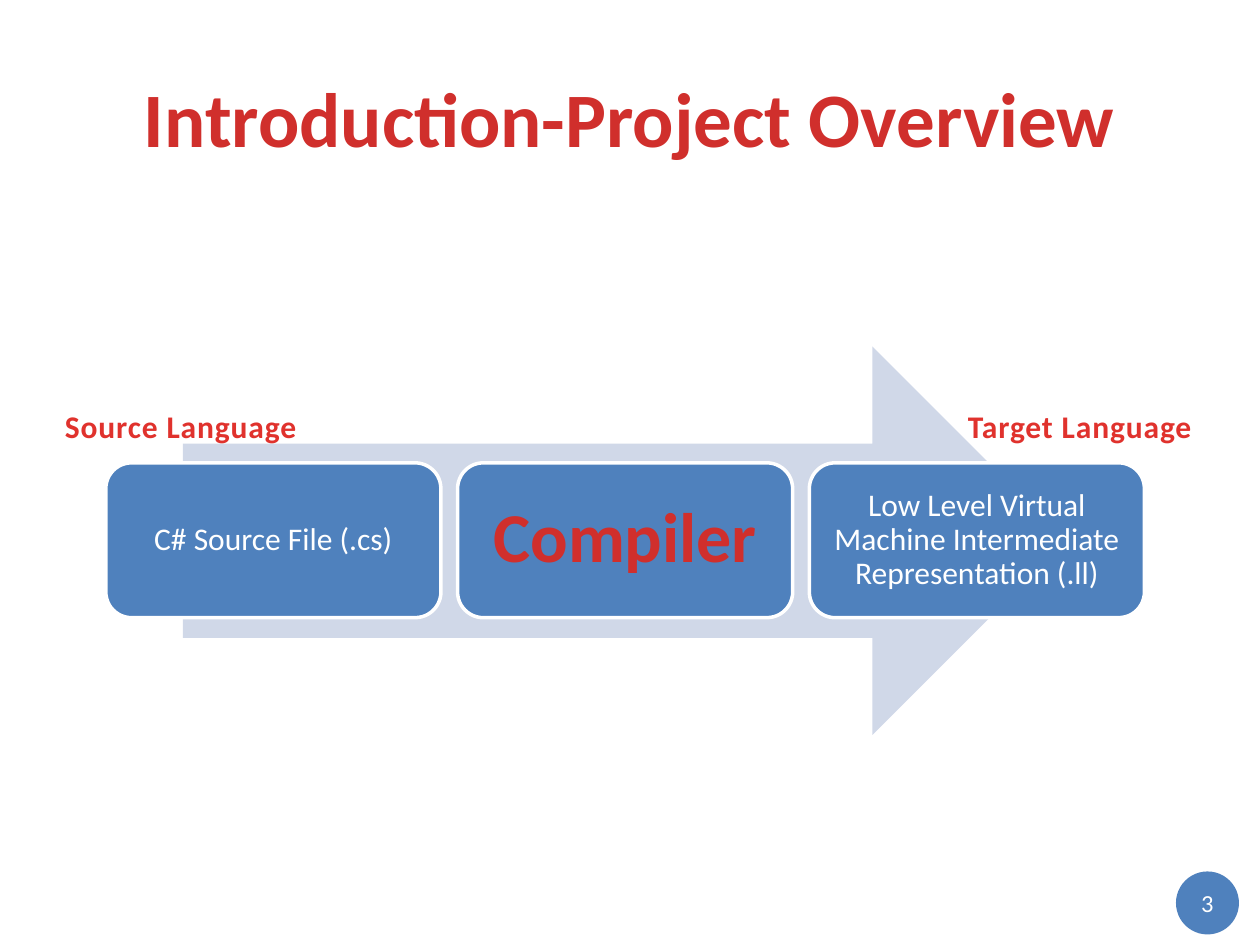
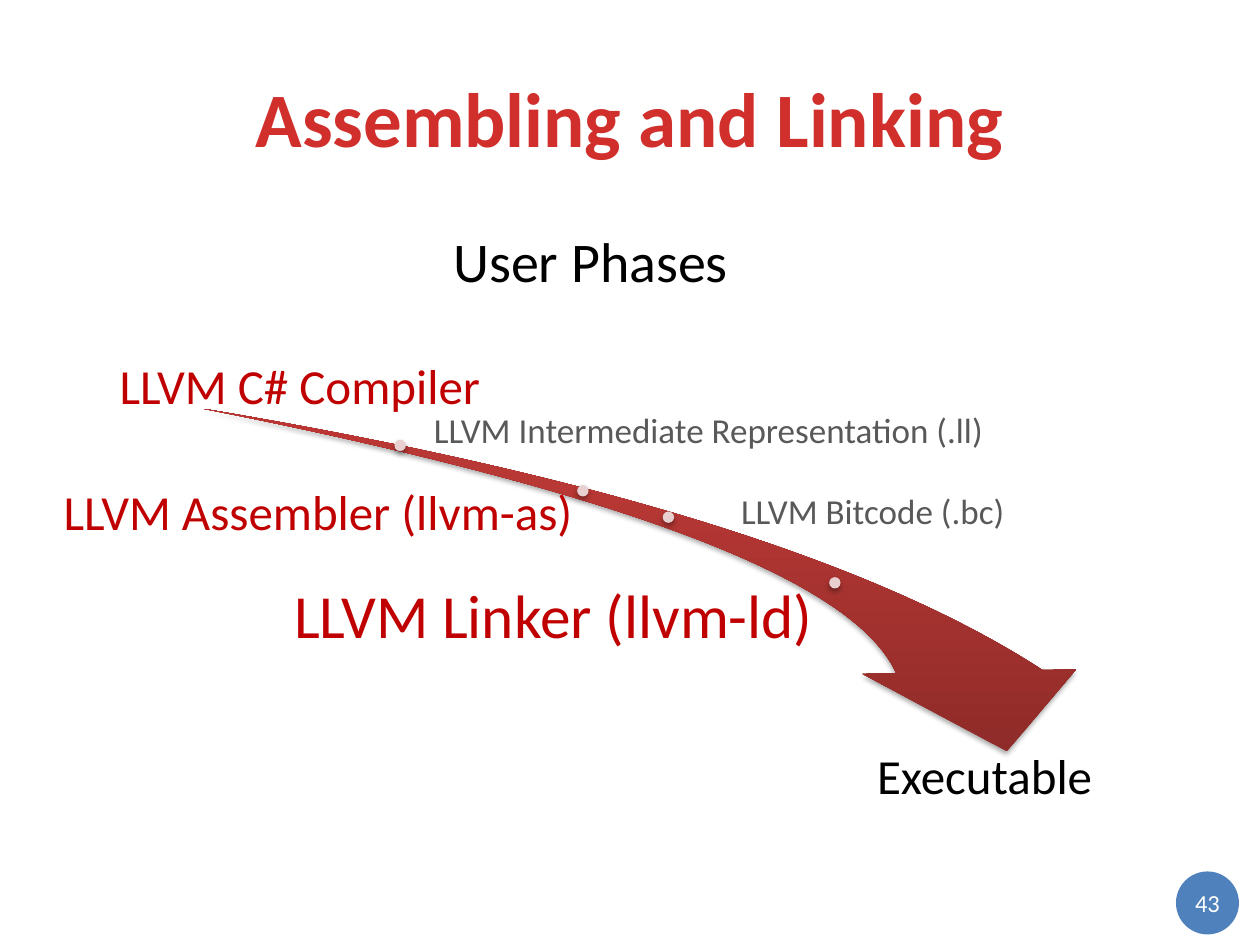
import pptx
import pptx.dml.color
import pptx.enum.shapes
import pptx.enum.text
import pptx.oxml
import pptx.oxml.ns
import pptx.util

Pt = pptx.util.Pt
RGBColor = pptx.dml.color.RGBColor
MSO_SHAPE = pptx.enum.shapes.MSO_SHAPE
PP_ALIGN = pptx.enum.text.PP_ALIGN
MSO_ANCHOR = pptx.enum.text.MSO_ANCHOR
LEFT, CENTER, RIGHT = PP_ALIGN.LEFT, PP_ALIGN.CENTER, PP_ALIGN.RIGHT
TOP, MIDDLE, BOTTOM = MSO_ANCHOR.TOP, MSO_ANCHOR.MIDDLE, MSO_ANCHOR.BOTTOM

FONT = "Calibri"
WHITE = RGBColor(0xFF, 0xFF, 0xFF)
BLACK = RGBColor(0x00, 0x00, 0x00)
GRAY = RGBColor(0x59, 0x59, 0x59)
BLUE = RGBColor(0x4F, 0x81, 0xBD)
PALE_BLUE = RGBColor(0xD0, 0xD8, 0xE8)
TITLE_RED = RGBColor(0xD0, 0x2F, 0x2C)
LABEL_RED = RGBColor(0xE0, 0x32, 0x2D)
DEEP_RED = RGBColor(0xC0, 0x00, 0x00)
PALE_RED = RGBColor(0xE8, 0xD0, 0xD0)

NS = pptx.oxml.ns.nsdecls("a")
SOFT_SHADOW = (
    f'<a:effectLst {NS}><a:outerShdw blurRad="39370" dist="22860" dir="5400000" rotWithShape="0">'
    '<a:srgbClr val="000000"><a:alpha val="35000"/></a:srgbClr></a:outerShdw></a:effectLst>'
)
SWOOSH_GRADIENT = (
    f'<a:gradFill {NS} rotWithShape="0"><a:gsLst>'
    '<a:gs pos="0"><a:srgbClr val="8E2B28"/></a:gs>'
    '<a:gs pos="80000"><a:srgbClr val="B83835"/></a:gs>'
    '<a:gs pos="100000"><a:srgbClr val="BB3632"/></a:gs>'
    '</a:gsLst><a:lin ang="16200000" scaled="0"/></a:gradFill>'
)


def write(shape, text, size, color, align=CENTER, anchor=MIDDLE, inset=None, bold=False, spacing=None):
    """Fill a shape with one formatted paragraph and return its run."""
    frame = shape.text_frame
    frame.word_wrap = True
    frame.vertical_anchor = anchor
    if inset is not None:
        frame.margin_left = frame.margin_right = Pt(inset)
        frame.margin_top = frame.margin_bottom = Pt(inset)
    paragraph = frame.paragraphs[0]
    paragraph.alignment = align
    if spacing:
        paragraph.line_spacing = spacing
    run = paragraph.add_run()
    run.text = text
    run.font.name = FONT
    run.font.size = Pt(size)
    run.font.bold = bold
    run.font.color.rgb = color
    return run


def add_solid(slide, kind, left, top, width, height, fill):
    """Add a preset shape with a plain fill, no line and no shadow."""
    shape = slide.shapes.add_shape(kind, Pt(left), Pt(top), Pt(width), Pt(height))
    shape.shadow.inherit = False
    shape.fill.solid()
    shape.fill.fore_color.rgb = fill
    shape.line.fill.background()
    return shape


deck = pptx.Presentation()
deck.slide_width, deck.slide_height = Pt(720), Pt(540)

# Shared title and page badge
for heading, page in [("Introduction-Project Overview", "3"), ("Assembling and Linking", "43")]:
    slide = deck.slides.add_slide(deck.slide_layouts[5])
    title = slide.shapes.title
    title.left, title.top, title.width, title.height = Pt(36), Pt(21.6), Pt(648), Pt(90)
    write(title, heading, 44, TITLE_RED, bold=True)
    badge = add_solid(slide, MSO_SHAPE.OVAL, 672, 498, 36, 36, BLUE)
    write(badge, page, 14, WHITE, inset=0)

overview, linking = deck.slides

# Project overview: source, compiler, target
add_solid(overview, MSO_SHAPE.RIGHT_ARROW, 104.5, 198, 505, 222, PALE_BLUE)
stages = [
    ("C# Source File (.cs)", 18, WHITE, 5, False),
    ("Compiler", 40, TITLE_RED, 12, True),
    ("Low Level Virtual Machine Intermediate Representation (.ll)", 18, WHITE, 5, False),
]
for index, (text, size, color, inset, bold) in enumerate(stages):
    stage = add_solid(overview, MSO_SHAPE.ROUNDED_RECTANGLE, 60.5 + 201 * index, 264.5, 191.5, 88.5, BLUE)
    stage.line.color.rgb = WHITE
    stage.line.width = Pt(2)
    write(stage, text, size, color, inset=inset, bold=bold, spacing=0.9)

for text, left, width in [("Source Language", 30, 162), ("Target Language", 546, 144)]:
    language = overview.shapes.add_textbox(Pt(left), Pt(229), Pt(width), Pt(29))
    run = write(language, text, 18, LABEL_RED, LEFT, TOP, bold=True)
    run.font._element.set("spc", "50")

# Assembling and linking: phases along the swoosh
subtitle = linking.shapes.add_textbox(Pt(252), Pt(126), Pt(186), Pt(48))
write(subtitle, "User Phases", 32, BLACK, LEFT, TOP)

swoosh = linking.shapes.add_shape(MSO_SHAPE.SWOOSH_ARROW, Pt(286.5), Pt(77.8), Pt(153.4), Pt(510.5))
swoosh.rotation = 95.2
swoosh.adjustments[0], swoosh.adjustments[1] = 0.163, 0.314
swoosh.line.fill.background()
swoosh_properties = swoosh._element.spPr
swoosh_properties.insert(2, pptx.oxml.parse_xml(SWOOSH_GRADIENT))
swoosh_properties.append(pptx.oxml.parse_xml(SOFT_SHADOW))

for left, top in [(225.4, 251.3), (329.8, 277.2), (378.7, 292.3), (473.8, 329.8)]:
    milestone = add_solid(linking, MSO_SHAPE.OVAL, left, top, 6.5, 6.5, PALE_RED)
    milestone_properties = milestone._element.spPr
    milestone_properties.remove(milestone_properties.find(pptx.oxml.ns.qn("a:effectLst")))
    milestone_properties.append(pptx.oxml.parse_xml(SOFT_SHADOW))

phases = [
    ("LLVM C# Compiler", 28, DEEP_RED, CENTER, BOTTOM, 3, 60, 193, 222.5, 47),
    ("LLVM Intermediate Representation (.ll)", 20, GRAY, LEFT, MIDDLE, 2, 246, 223.2, 327, 47),
    ("LLVM Assembler (llvm-as)", 28, DEEP_RED, RIGHT, MIDDLE, 3, 30, 270.7, 300, 47),
    ("LLVM Bitcode (.bc)", 20, GRAY, RIGHT, MIDDLE, 2, 412.5, 275, 163.5, 36.7),
    ("LLVM Linker (llvm-ld)", 35, DEEP_RED, CENTER, TOP, 3.6, 152.6, 331.2, 327.6, 47),
    ("Executable", 28, BLACK, LEFT, MIDDLE, 3, 498.2, 421.2, 170, 47),
]
for text, size, color, align, anchor, inset, left, top, width, height in phases:
    phase = linking.shapes.add_textbox(Pt(left), Pt(top), Pt(width), Pt(height))
    write(phase, text, size, color, align, anchor, inset, spacing=0.9)

deck.save("out.pptx")
